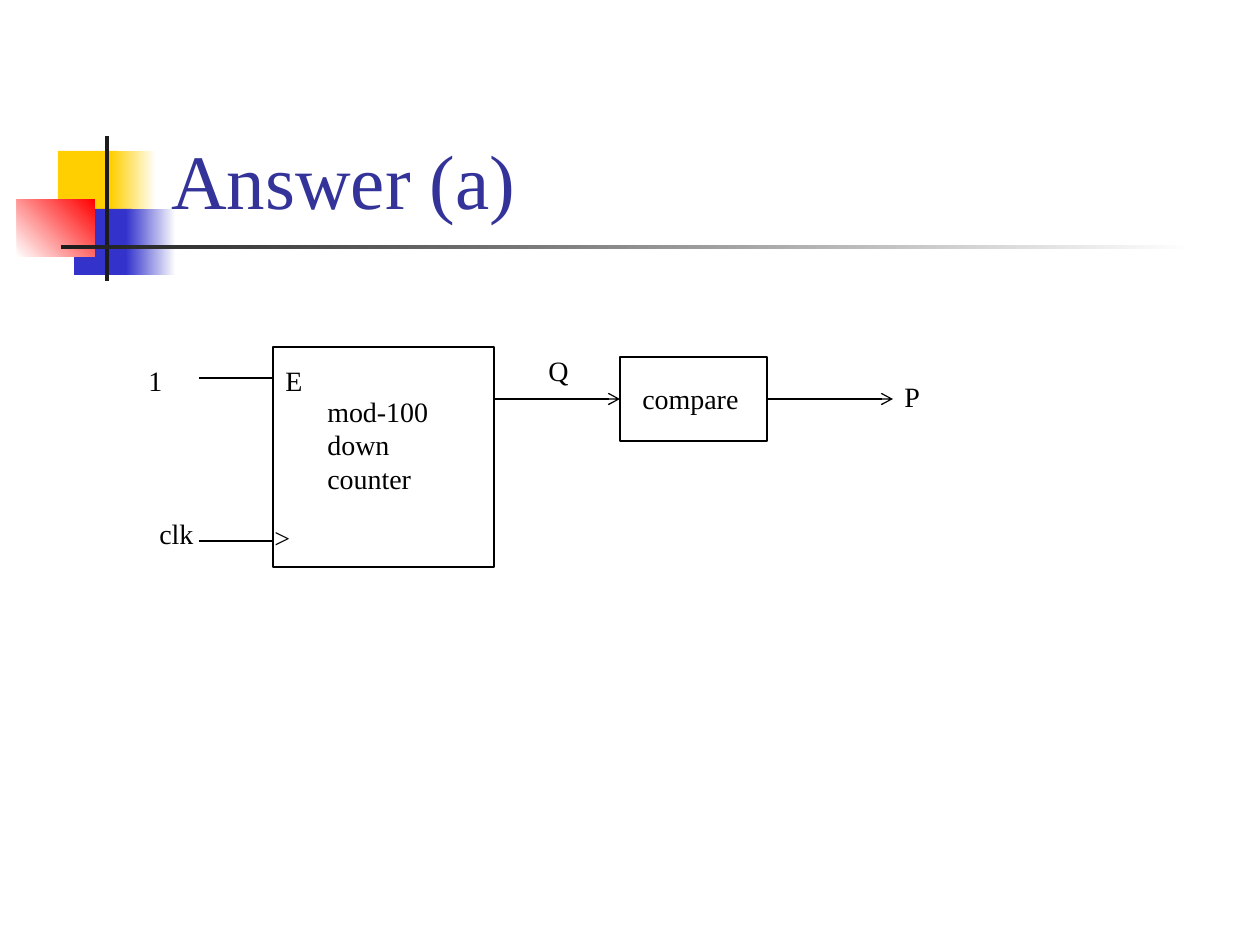
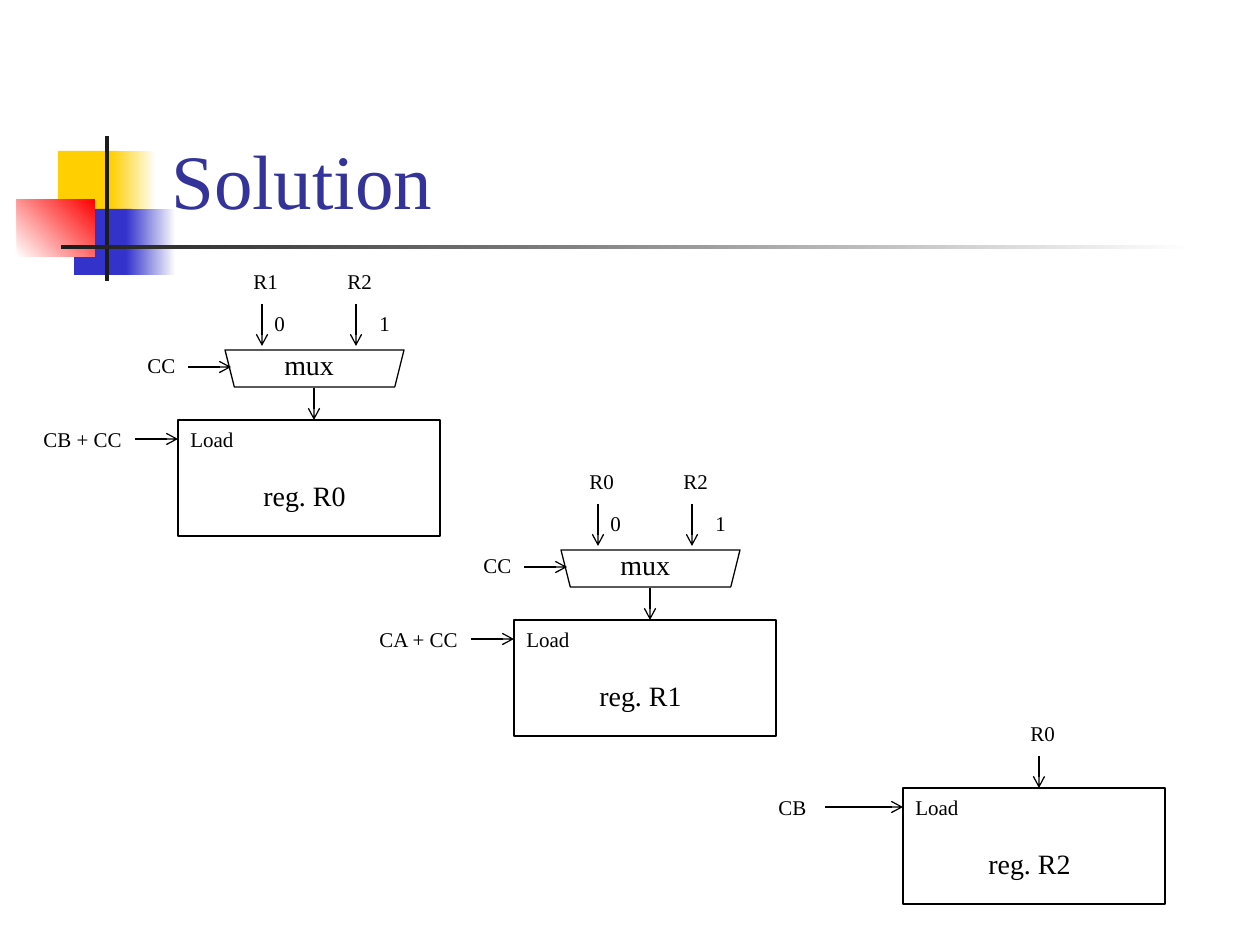
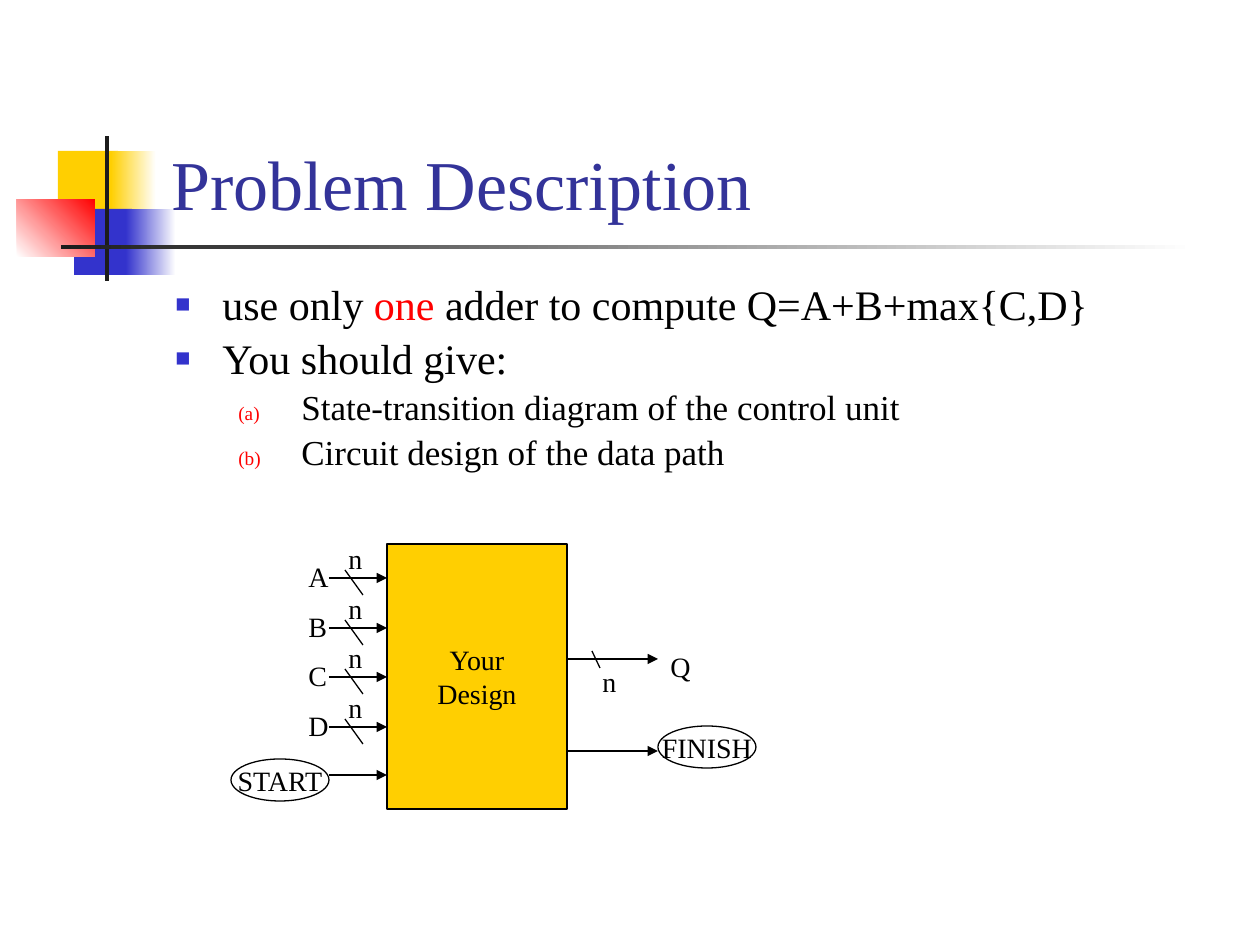
from lxml.etree import SubElement
from pptx import Presentation
from pptx.dml.color import RGBColor
from pptx.enum.shapes import MSO_CONNECTOR as Connector, MSO_SHAPE as Preset
from pptx.enum.text import MSO_ANCHOR as Anchor, PP_ALIGN as Align
from pptx.oxml.ns import qn
from pptx.util import Emu, Pt

SCALE = 914400 / 126


def px(value):
    return Emu(round(value * SCALE))


def color(value):
    return RGBColor.from_string(value)


class Painter:
    FONT = "Times New Roman"
    BLACK, WHITE, DARK = "000000", "FFFFFF", "1C1C1C"
    YELLOW, BLUE, RED, TITLE = "FFCF01", "3333CC", "FF0000", "333399"
    BAND = [
        (58, 151, 60, 66, [YELLOW], 0),
        (111, 151, 45, 66, [YELLOW, WHITE], 0),
        (74, 209, 58, 66, [BLUE], 0),
        (126, 209, 50, 66, [BLUE, WHITE], 0),
        (17, 199, 78, 58, [WHITE, RED], 45),
        (105, 136, 4, 145, [DARK], 0),
        (61, 245, 1134, 4, [DARK, WHITE], 0),
    ]

    def __init__(self):
        self.deck = Presentation()
        self.deck.slide_width, self.deck.slide_height = px(1260), px(945)

    def new_page(self, title, size=44):
        self.page = self.deck.slides.add_slide(self.deck.slide_layouts[6])
        self.canvas = self.page.shapes
        for x, y, w, h, colors, angle in self.BAND:
            self.shape(x, y, w, h, fill=colors, angle=angle, outline=False)
        frame = self.frame(159, 29, 1074, 202, wrap=True)
        frame.vertical_anchor = Anchor.BOTTOM
        self.set_text(frame, title, size, self.TITLE)

    def new_group(self):
        self.canvas = self.page.shapes.add_group_shape().shapes

    def style(self, span, size, ink):
        span.font.name = self.FONT
        span.font.size = Pt(size)
        span.font.color.rgb = color(ink)

    def set_text(self, frame, text, size, ink=BLACK, align=Align.LEFT):
        frame.text = text
        for para in frame.paragraphs:
            para.alignment = align
            for span in para.runs:
                self.style(span, size, ink)

    def frame(self, x, y, w, h, wrap=False):
        box = self.canvas.add_textbox(px(x), px(y), px(w), px(h))
        box.text_frame.word_wrap = wrap
        return box.text_frame

    def label(self, x, y, w, h, text, size=16):
        self.set_text(self.frame(x, y, w, h), text, size)

    def shape(self, x, y, w, h, preset=Preset.RECTANGLE, fill=(), angle=0, outline=True, text=""):
        shape = self.canvas.add_shape(preset, px(x), px(y), px(w), px(h))
        shape.shadow.inherit = False
        if len(fill) == 2:
            shape.fill.gradient()
            shape.fill.gradient_angle = angle
            for stop, shade in zip(shape.fill.gradient_stops, fill):
                stop.color.rgb = color(shade)
        elif fill:
            shape.fill.solid()
            shape.fill.fore_color.rgb = color(fill[0])
        else:
            shape.fill.background()
        if outline:
            shape.line.color.rgb = color(self.BLACK)
            shape.line.width = Pt(0.75)
        else:
            shape.line.fill.background()
        if text:
            shape.text_frame.word_wrap = False
            shape.text_frame.vertical_anchor = Anchor.MIDDLE
            self.set_text(shape.text_frame, text, 16, align=Align.CENTER)
        return shape

    def line(self, x1, y1, x2, y2, head=None):
        line = self.canvas.add_connector(Connector.STRAIGHT, px(x1), px(y1), px(x2), px(y2))
        line.line.color.rgb = color(self.BLACK)
        line.line.width = Pt(0.75)
        properties = line.element.spPr
        if head:
            SubElement(properties.find(qn("a:ln")), qn("a:tailEnd"), type=head)
        SubElement(properties, qn("a:effectLst"))

    def bullet(self, para, parts, size, margin, hang, ink, percent, tag, **mark):
        for text, shade in parts:
            span = para.add_run()
            span.text = text
            self.style(span, size, shade)
        para.line_spacing = 0.9
        para.space_before = Pt(size * 0.2)
        properties = para._p.get_or_add_pPr()
        properties.set("marL", str(px(margin)))
        properties.set("indent", str(-px(hang)))
        SubElement(SubElement(properties, qn("a:buClr")), qn("a:srgbClr"), val=ink)
        SubElement(properties, qn("a:buSzPct"), val=str(percent * 1000))
        SubElement(properties, qn("a:buFont"), typeface=self.FONT)
        SubElement(properties, qn(tag), **mark)

    def bullets(self, x, y, w, h, items):
        frame = self.frame(x, y, w, h, wrap=True)
        for index, (level, parts) in enumerate(items):
            para = frame.add_paragraph() if index else frame.paragraphs[0]
            if level:
                para.level = level
                self.bullet(para, parts, 20, 126, 63, self.RED, 55,
                            "a:buAutoNum", type="alphaLcParenBoth")
            else:
                self.bullet(para, parts, 24, 47, 47, self.BLUE, 60, "a:buChar", char="■")

    def register(self, x, y, name, load, load_width, load_offset=147, lead=43):
        self.new_group()
        self.shape(x, y, 262, 116)
        self.label(x + 73, y + 52, 108, 47, "reg. " + name)
        self.label(x, y, 69, 38, "Load", 12)
        self.line(x - lead, y + 19, x, y + 19, "arrow")
        self.label(x - load_offset, y, load_width, 38, load, 12)

    def source(self, x, y, name, length):
        self.line(x, y, x, y + length, "arrow")
        self.label(x - 21, y - 42, 50, 38, name, 12)

    def mux(self, x, y, sources):
        self.shape(x + 47, y - 70, 179, 37, Preset.TRAPEZOID).rotation = 180
        self.line(x + 136, y - 32, x + 136, y, "arrow")
        self.label(x + 94, y - 79, 76, 47, "mux")
        self.line(x + 10, y - 53, x + 53, y - 53, "arrow")
        self.label(x - 43, y - 74, 54, 38, "CC", 12)
        for index, name in enumerate(sources):
            self.source(x + 84 + 94 * index, y - 116, name, 42)
            self.label(x + 84 + 105 * index, y - 116, 37, 38, str(index), 12)


def answer_page(painter):
    painter.new_page("Answer (a)")
    painter.shape(273, 347, 221, 220)
    painter.shape(620, 357, 147, 84)
    for x, y, w, text in [
        (273, 357, 43, "E"), (262, 514, 42, ">"), (147, 510, 60, "clk"),
        (136, 357, 39, "1"), (536, 347, 45, "Q"), (630, 375, 123, "compare"),
        (892, 373, 42, "P"),
    ]:
        painter.label(x, y, w, 47, text)
    painter.label(315, 388, 127, 115, "mod-100\vdown\vcounter")
    for y in (378, 541):
        painter.line(199, y, 273, y)
    for x in (494, 767):
        painter.line(x, 399, x + 126, 399, "arrow")


def solution_page(painter):
    painter.new_page("Solution")
    for x, y, name, load, sources in [
        (178, 420, "R0", "CB + CC", ("R1", "R2")),
        (514, 620, "R1", "CA + CC", ("R0", "R2")),
    ]:
        painter.register(x, y, name, load, 105)
        painter.mux(x, y, sources)
    painter.register(903, 788, "R2", "CB", 53, load_offset=137, lead=78)
    painter.source(1039, 756, "R0", 32)


def problem_page(painter):
    black = painter.BLACK
    painter.new_page("Problem Description", 40)
    painter.bullets(163, 278, 1071, 237, [
        (0, [("use only ", black), ("one", painter.RED),
             (" adder to compute Q=A+B+max{C,D}", black)]),
        (0, [("You should give:", black)]),
        (1, [("State-transition diagram of the control unit", black)]),
        (1, [("Circuit design of the data path", black)]),
    ])
    painter.new_group()
    painter.shape(387, 544, 180, 265, fill=[painter.YELLOW], text="Your\nDesign")
    for index, name in enumerate("ABCD"):
        y = 578 + round(49.7 * index)
        painter.line(329, y, 387, y, "triangle")
        painter.line(345, y - 8, 363, y + 17)
        painter.label(336, y - 43, 30, 37, "n")
        painter.label(296, y - 25, 35, 37, name)
    painter.line(329, 775, 387, 775, "triangle")
    painter.shape(231, 759, 98, 42, Preset.OVAL, text="START")
    for y in (659, 751):
        painter.line(567, y, 658, y, "triangle")
    painter.line(592, 651, 600, 668)
    painter.label(590, 658, 30, 37, "n")
    painter.label(658, 643, 35, 37, "Q")
    painter.shape(658, 726, 98, 42, Preset.OVAL, text="FINISH")


painter = Painter()
answer_page(painter)
solution_page(painter)
problem_page(painter)
painter.deck.save("out.pptx")
